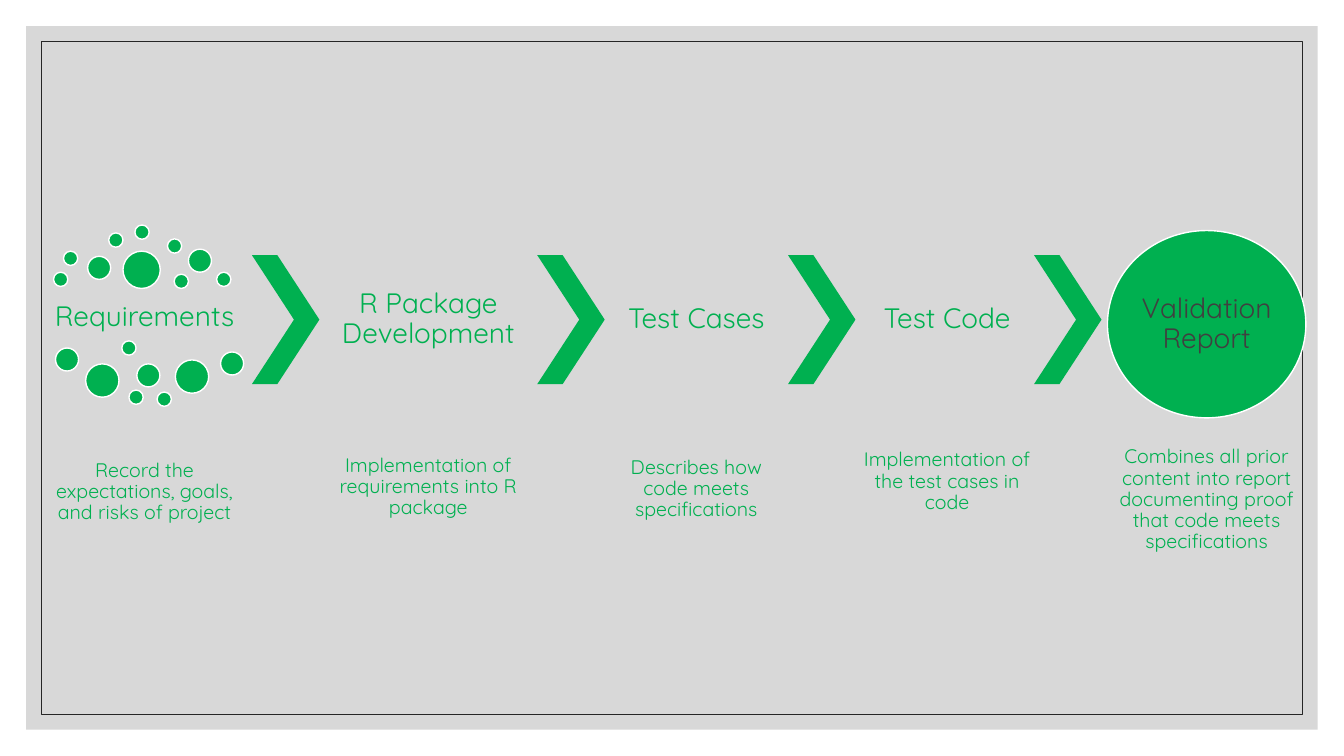
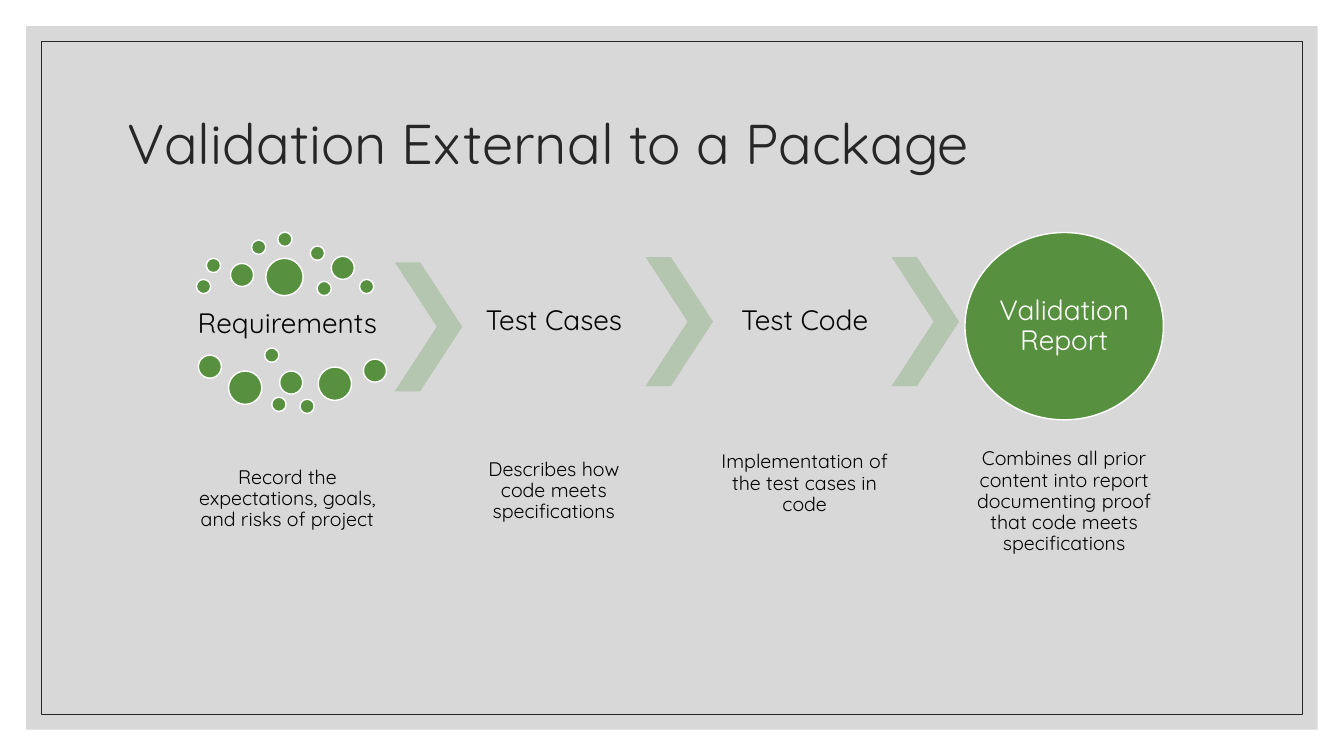
import dataclasses

import lxml.etree
import pptx
import pptx.dml.color
import pptx.enum.shapes
import pptx.enum.text
import pptx.oxml.ns
import pptx.util

Cm = pptx.util.Cm
Pt = pptx.util.Pt
SHAPES = pptx.enum.shapes.MSO_SHAPE
ALIGN = pptx.enum.text.PP_ALIGN
MIDDLE = pptx.enum.text.MSO_ANCHOR.MIDDLE

FONT = "Quicksand"
WHITE, BLACK, INK, PANEL = "FFFFFF", "000000", "262626", "BFBFBF"
PAGE_WIDTH, PAGE_HEIGHT = 33.87, 19.05
CHEVRON_WIDTH, CHEVRON_HEIGHT = 1.7, 3.25
CIRCLE_WIDTH, CIRCLE_HEIGHT = 5, 4.72
CIRCLE_RISE, CIRCLE_GAP = 0.62, 0.15
CAPTION_WIDTH, CAPTION_HEIGHT = 4.62, 2.84

SMALL, MEDIUM, LARGE, LARGEST = 0.36, 0.58, 0.84, 0.94
DOTS = [
    (0.41, 0.43, SMALL), (0.66, -0.1, SMALL), (1.27, 0.03, MEDIUM),
    (1.8, -0.56, SMALL), (2.46, -0.76, SMALL), (3.28, -0.41, SMALL),
    (3.81, -0.15, MEDIUM), (4.52, 0.43, SMALL), (3.45, 0.48, SMALL),
    (2.16, -0.1, LARGEST), (2.13, 2.16, SMALL), (0.46, 2.34, MEDIUM),
    (1.22, 2.74, LARGE), (2.31, 3.4, SMALL), (2.51, 2.74, MEDIUM),
    (3.02, 3.45, SMALL), (3.48, 2.64, LARGE), (4.62, 2.44, MEDIUM),
]


@dataclasses.dataclass
class Step:
    """One stage of the process, with lengths in centimetres."""
    label: str
    caption: str
    caption_top: float
    width: float = 4.62
    label_height: float = CHEVRON_HEIGHT
    overlap: float = 0
    dotted: bool = False


@dataclasses.dataclass
class Palette:
    """Colours of one process flow."""
    dot: str
    chevron: str
    text: str
    report: str


REQUIREMENTS = Step("Requirements", "Record the expectations, goals, and risks of project",
                    4.55, width=5.41, label_height=3.13, dotted=True)
DEVELOPMENT = Step("R Package Development", "Implementation of requirements into R package",
                   4.42, width=5.49)
TEST_CASES = Step("Test Cases", "Describes how code meets specifications", 4.47)
TEST_CODE = Step("Test Code", "Implementation of the test cases in code", 4.29, overlap=0.12)
REPORT = Step("Validation Report",
              "Combines all prior content into report documenting proof "
              "that code meets specifications", 4.75, width=CIRCLE_WIDTH)

BRIGHT = Palette("00B050", "00B050", "00B050", "404040")
MUTED = Palette("57903F", "B4C6B0", BLACK, WHITE)


def color(value):
    """Turn a hex string into a colour."""
    return pptx.dml.color.RGBColor.from_string(value)


def add_figure(page, kind, left, top, width, height, fill=None, line=None, weight=1):
    """Add a preset shape with flat fill and outline."""
    shape = page.shapes.add_shape(kind, Cm(left), Cm(top), Cm(width), Cm(height))
    shape.shadow.inherit = False
    if fill:
        shape.fill.solid()
        shape.fill.fore_color.rgb = color(fill)
    else:
        shape.fill.background()
    if line:
        shape.line.color.rgb = color(line)
        shape.line.width = Pt(weight)
    else:
        shape.line.fill.background()
    return shape


def write(shape, text, size, ink, align=ALIGN.CENTER, inset=0.05):
    """Fill a shape with one vertically centred paragraph."""
    frame = shape.text_frame
    frame.word_wrap = True
    frame.auto_size = pptx.enum.text.MSO_AUTO_SIZE.NONE
    frame.vertical_anchor = MIDDLE
    frame.margin_left = frame.margin_right = Cm(inset)
    frame.margin_top = frame.margin_bottom = Cm(inset)
    para = frame.paragraphs[0]
    para.text = text
    para.alignment = align
    para.line_spacing = 0.9
    para.font.name = FONT
    para.font.size = Pt(size)
    para.font.color.rgb = color(ink)


def add_text(page, text, left, top, width, height, size, ink):
    """Add a centred text box."""
    box = page.shapes.add_textbox(Cm(left), Cm(top), Cm(width), Cm(height))
    write(box, text, size, ink)


def add_master_frame(deck, page):
    """Put the grey panel and its thin border on the slide master."""
    figures = []
    for margin, fill, line in ((0.66, PANEL, None), (1.04, None, INK)):
        figures.append(add_figure(page, SHAPES.RECTANGLE, margin, margin,
                                  PAGE_WIDTH - 2 * margin, PAGE_HEIGHT - 2 * margin,
                                  fill, line, 0.5))
    tint = figures[0].element.find(".//" + pptx.oxml.ns.qn("a:srgbClr"))
    lxml.etree.SubElement(tint, pptx.oxml.ns.qn("a:alpha"), val="60000")
    for index, figure in enumerate(figures):
        figure.element.nvSpPr.cNvPr.id = 100 + index
        deck.slide_master.shapes.element.insert(2 + index, figure.element)


def add_title(page, text):
    """Place and format the title placeholder."""
    title = page.shapes.title
    title.left, title.top = Cm(2.97), Cm(1.78)
    title.width, title.height = Cm(27.94), Cm(3.81)
    write(title, text, 40, INK, ALIGN.LEFT, 0.25)


def add_caption(page, step, left, top, ink):
    """Centre a caption below its step."""
    add_text(page, step.caption, left + (step.width - CAPTION_WIDTH) / 2,
             top + step.caption_top, CAPTION_WIDTH, CAPTION_HEIGHT, 14, ink)


def add_step(page, step, left, top, palette):
    """Draw a step and its chevron, and return where the next step starts."""
    add_text(page, step.label, left, top, step.width, step.label_height, 20, palette.text)
    add_caption(page, step, left, top, palette.text)
    if step.dotted:
        for across, down, size in DOTS:
            add_figure(page, SHAPES.OVAL, left + across, top + down, size, size,
                       palette.dot, WHITE)
    chevron_left = left + step.width - step.overlap
    chevron = add_figure(page, SHAPES.CHEVRON, chevron_left, top,
                         CHEVRON_WIDTH, CHEVRON_HEIGHT, palette.chevron)
    chevron.adjustments[0] = 0.623
    return chevron_left + CHEVRON_WIDTH


def add_report(page, left, top, palette):
    """Draw the closing circle and its caption."""
    circle = add_figure(page, SHAPES.OVAL, left, top - CIRCLE_RISE,
                        CIRCLE_WIDTH, CIRCLE_HEIGHT, palette.dot, WHITE)
    write(circle, REPORT.label, 20, palette.report, inset=0)
    add_caption(page, REPORT, left, top, palette.text)


def add_flow(page, steps, left, top, palette, first_drop=0):
    """Lay the steps out from left to right and end with the report."""
    for index, step in enumerate(steps):
        drop = 0 if index else first_drop
        left = add_step(page, step, left, top + drop, palette)
    add_report(page, left + CIRCLE_GAP, top, palette)


def main():
    """Build and save the deck."""
    deck = pptx.Presentation()
    deck.slide_width, deck.slide_height = Cm(PAGE_WIDTH), Cm(PAGE_HEIGHT)
    title_only, blank = deck.slide_layouts[5], deck.slide_layouts[6]

    page = deck.slides.add_slide(blank)
    add_master_frame(deck, page)
    add_flow(page, [REQUIREMENTS, DEVELOPMENT, TEST_CASES, TEST_CODE], 0.94, 6.43, BRIGHT)

    page = deck.slides.add_slide(title_only)
    add_title(page, "Validation External to a Package")
    add_flow(page, [REQUIREMENTS, TEST_CASES, TEST_CODE], 4.54, 6.48, MUTED, first_drop=0.13)

    deck.save("out.pptx")


if __name__ == "__main__":
    main()
